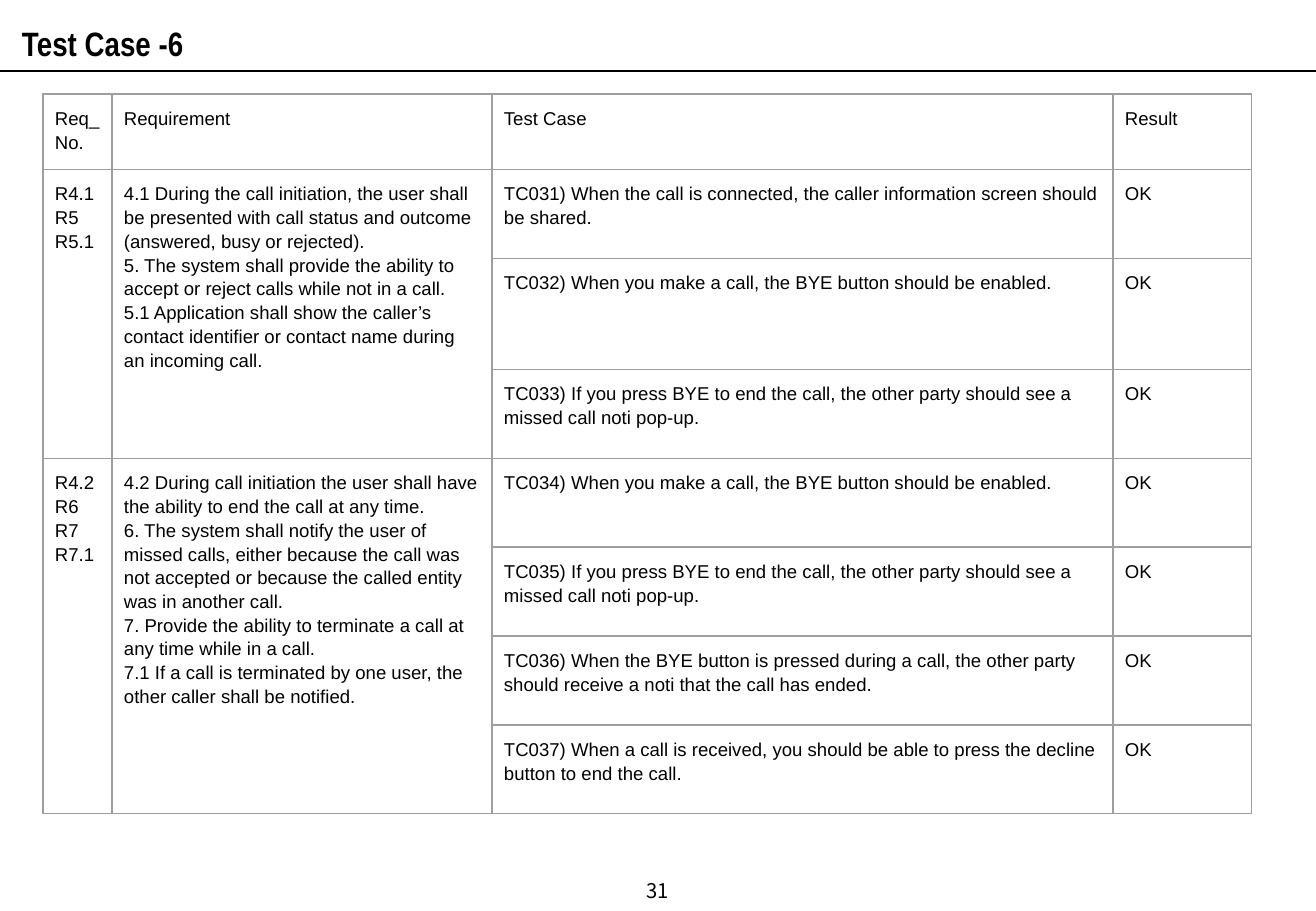
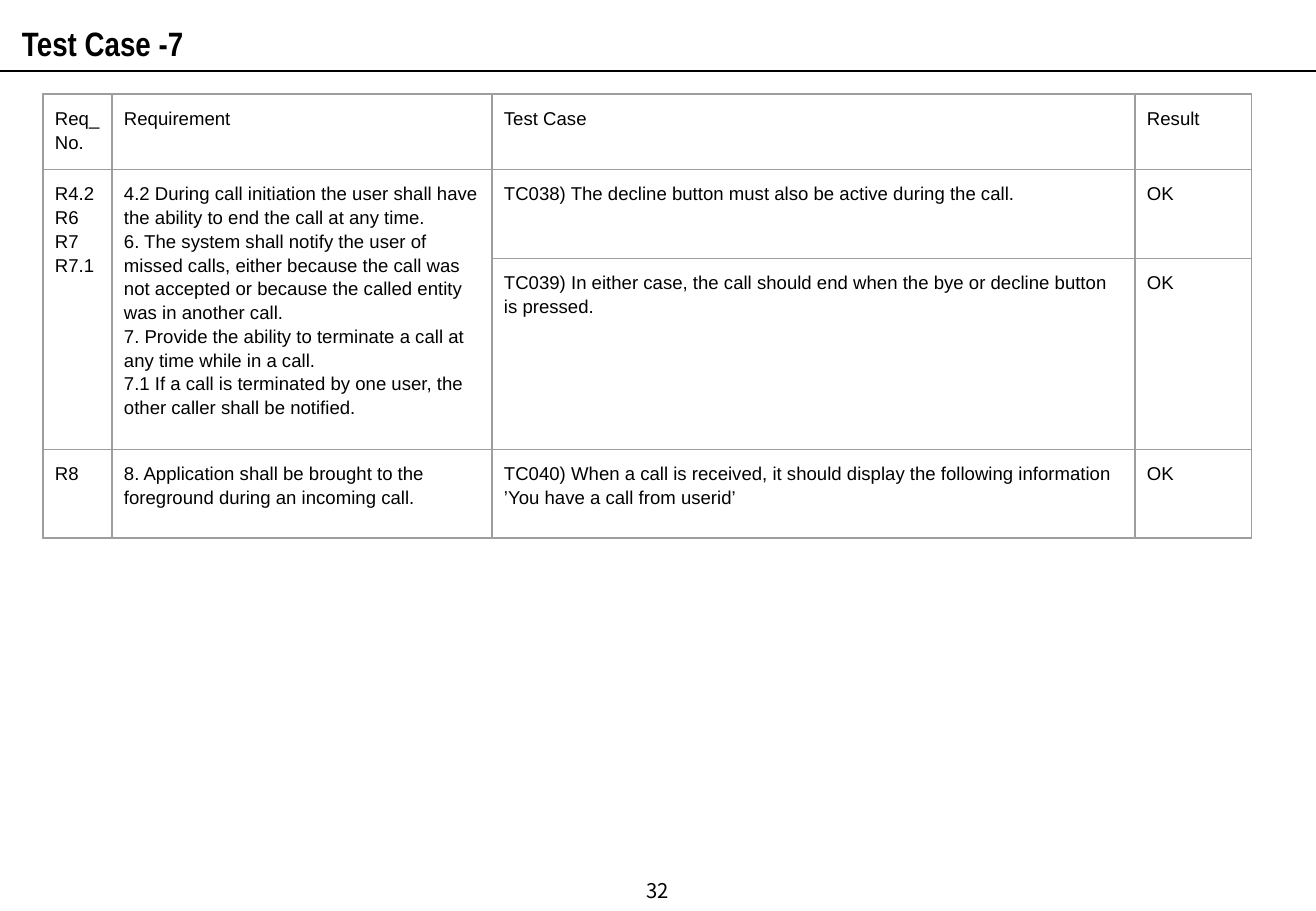
from lxml import etree
from pptx import Presentation
from pptx.dml.color import RGBColor
from pptx.enum.shapes import MSO_CONNECTOR
from pptx.enum.text import MSO_ANCHOR, PP_ALIGN
from pptx.oxml.ns import qn
from pptx.util import Pt

PX = 914400 / 121.5
SLIDE_W, SLIDE_H = 1316, 911
BLACK = RGBColor(0x00, 0x00, 0x00)
BORDER = RGBColor(0x9E, 0x9E, 0x9E)
STRAIGHT = MSO_CONNECTOR.STRAIGHT
MIDDLE = MSO_ANCHOR.MIDDLE
LEFT, CENTER = PP_ALIGN.LEFT, PP_ALIGN.CENTER

RULE_Y = 71
TITLE_BOX = (10, 9, 949, 53)
PAGE_BOX = (504, 866, 307, 49)
TABLE_X, TABLE_Y = 43, 94
HEADER_H, CASE_H = 75, 89
CELL_INSET = 12

HEADERS = ["Req_No.", "Requirement", "Test Case", "Result"]
RESULT = "OK"
END_CALL_IDS = ["R4.2", "R6", "R7", "R7.1"]
END_CALL_REQS = [
    "4.2 During call initiation the user shall have the ability to end the call at any time.",
    "6. The system shall notify the user of missed calls, either because the call was not accepted "
    "or because the called entity was in another call.",
    "7. Provide the ability to terminate a call at any time while in a call.",
    "7.1 If a call is terminated by one user, the other caller shall be notified.",
]
SLIDES = [
    {
        "title": "Test Case -6",
        "page": "31",
        "cols": [69, 380, 621, 139],
        "tall_rows": {2: 111},
        "groups": [
            (
                ["R4.1", "R5", "R5.1"],
                [
                    "4.1 During the call initiation, the user shall be presented with call status "
                    "and outcome (answered, busy or rejected).",
                    "5. The system shall provide the ability to accept or reject calls while not in a call.",
                    "5.1 Application shall show the caller’s contact identifier or contact name "
                    "during an incoming call.",
                ],
                [
                    "TC031) When the call is connected, the caller information screen should be shared.",
                    "TC032) When you make a call, the BYE button should be enabled.",
                    "TC033) If you press BYE to end the call, the other party should see a missed call noti pop-up.",
                ],
            ),
            (
                END_CALL_IDS,
                END_CALL_REQS,
                [
                    "TC034) When you make a call, the BYE button should be enabled.",
                    "TC035) If you press BYE to end the call, the other party should see a missed call noti pop-up.",
                    "TC036) When the BYE button is pressed during a call, the other party should "
                    "receive a noti that the call has ended.",
                    "TC037) When a call is received, you should be able to press the decline button to end the call.",
                ],
            ),
        ],
    },
    {
        "title": "Test Case -7",
        "page": "32",
        "cols": [69, 380, 643, 117],
        "tall_rows": {2: 191},
        "groups": [
            (
                END_CALL_IDS,
                END_CALL_REQS,
                [
                    "TC038) The decline button must also be active during the call.",
                    "TC039) In either case, the call should end when the bye or decline button is pressed.",
                ],
            ),
            (
                ["R8"],
                ["8. Application shall be brought to the foreground during an incoming call."],
                [
                    "TC040) When a call is received, it should display the following information "
                    "’You have a call from userid’",
                ],
            ),
        ],
    },
]


def px(n):
    return round(n * PX)


def write(tf, lines, size=11, font="Arial", bold=False, align=LEFT, spacing=1.15):
    tf.word_wrap = True
    for i, line in enumerate(lines):
        p = tf.add_paragraph() if i else tf.paragraphs[0]
        p.alignment = align
        p.line_spacing = spacing
        r = p.add_run()
        r.text = line
        r.font.size = Pt(size)
        r.font.name = font
        r.font.bold = bold
        r.font.color.rgb = BLACK


def add_text(s, box, text, anchor=None, **fmt):
    tf = s.shapes.add_textbox(*map(px, box)).text_frame
    tf.vertical_anchor = anchor
    write(tf, [text], **fmt)


def add_rule(s):
    rule = s.shapes.add_connector(STRAIGHT, 0, px(RULE_Y), px(SLIDE_W), px(RULE_Y))
    rule.line.color.rgb = BLACK
    rule.line.width = Pt(0.75)
    etree.SubElement(rule._element.spPr, qn("a:effectLst"))


def style_cell(cell):
    cell.fill.background()
    cell.margin_left = cell.margin_right = px(CELL_INSET)
    cell.margin_top = cell.margin_bottom = px(CELL_INSET)
    tcPr = cell._tc.get_or_add_tcPr()
    for i, side in enumerate(("a:lnL", "a:lnR", "a:lnT", "a:lnB")):
        ln = etree.Element(qn(side), w=str(Pt(0.75)))
        fill = etree.SubElement(ln, qn("a:solidFill"))
        etree.SubElement(fill, qn("a:srgbClr"), val=str(BORDER))
        tcPr.insert(i, ln)


def add_case_table(s, cols, tall_rows, groups):
    count = 1 + sum(len(cases) for _, _, cases in groups)
    heights = [HEADER_H] + [tall_rows.get(row, CASE_H) for row in range(1, count)]
    box = (TABLE_X, TABLE_Y, sum(cols), sum(heights))
    table = s.shapes.add_table(count, len(cols), *map(px, box)).table
    table.first_row = table.horz_banding = False
    for col, width in zip(table.columns, cols):
        col.width = px(width)
    for row, height in zip(table.rows, heights):
        row.height = px(height)
    for cell in table.iter_cells():
        style_cell(cell)

    for col, header in enumerate(HEADERS):
        write(table.cell(0, col).text_frame, [header])
    top = 1
    for ids, requirements, cases in groups:
        for col, lines in enumerate((ids, requirements)):
            cell = table.cell(top, col)
            if len(cases) > 1:
                cell.merge(table.cell(top + len(cases) - 1, col))
            write(cell.text_frame, lines)
        for row, case in enumerate(cases, top):
            write(table.cell(row, 2).text_frame, [case])
            write(table.cell(row, 3).text_frame, [RESULT])
        top += len(cases)


def main():
    prs = Presentation()
    prs.slide_width, prs.slide_height = px(SLIDE_W), px(SLIDE_H)
    for data in SLIDES:
        s = prs.slides.add_slide(prs.slide_layouts[6])
        add_rule(s)
        add_text(s, TITLE_BOX, data["title"], size=20, font="Arial Narrow", bold=True, spacing=1.2)
        add_case_table(s, data["cols"], data["tall_rows"], data["groups"])
        add_text(s, PAGE_BOX, data["page"], anchor=MIDDLE, size=12,
                 font="Noto Sans CJK KR", align=CENTER, spacing=1.0)
    prs.save("out.pptx")


if __name__ == "__main__":
    main()
